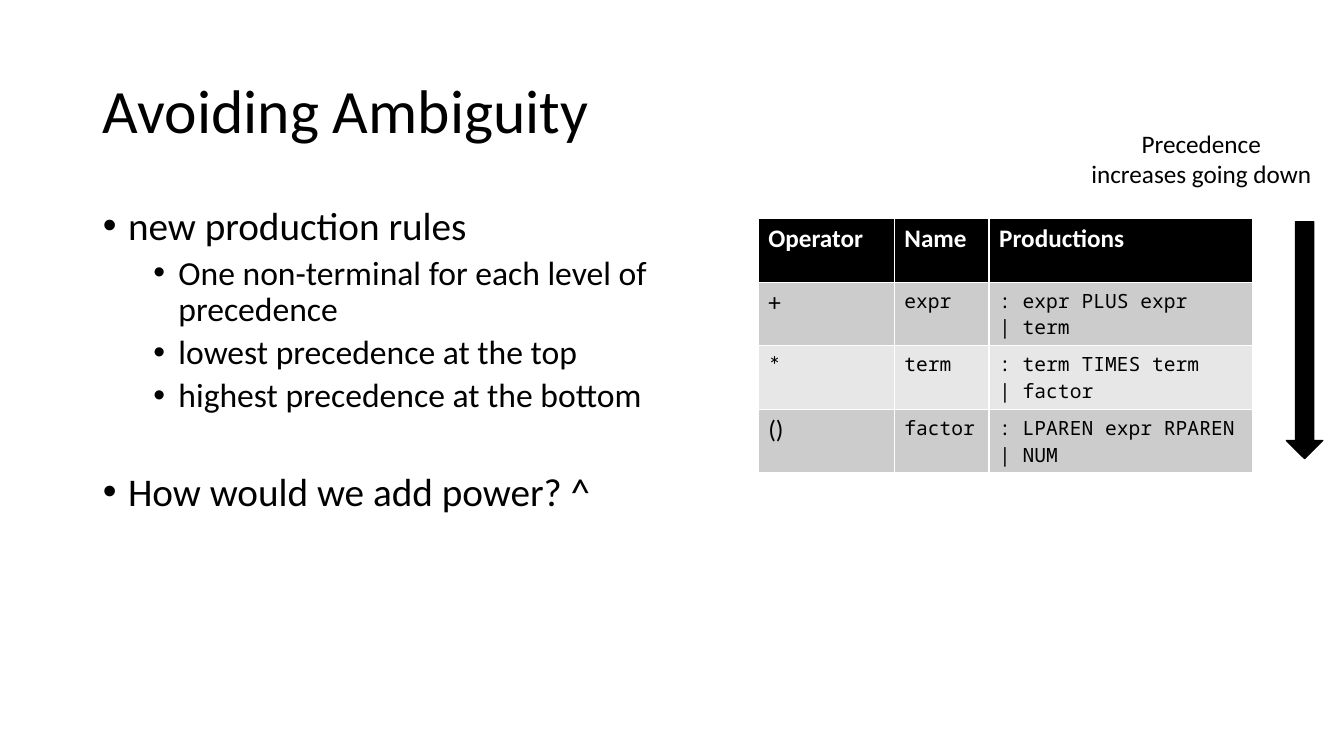
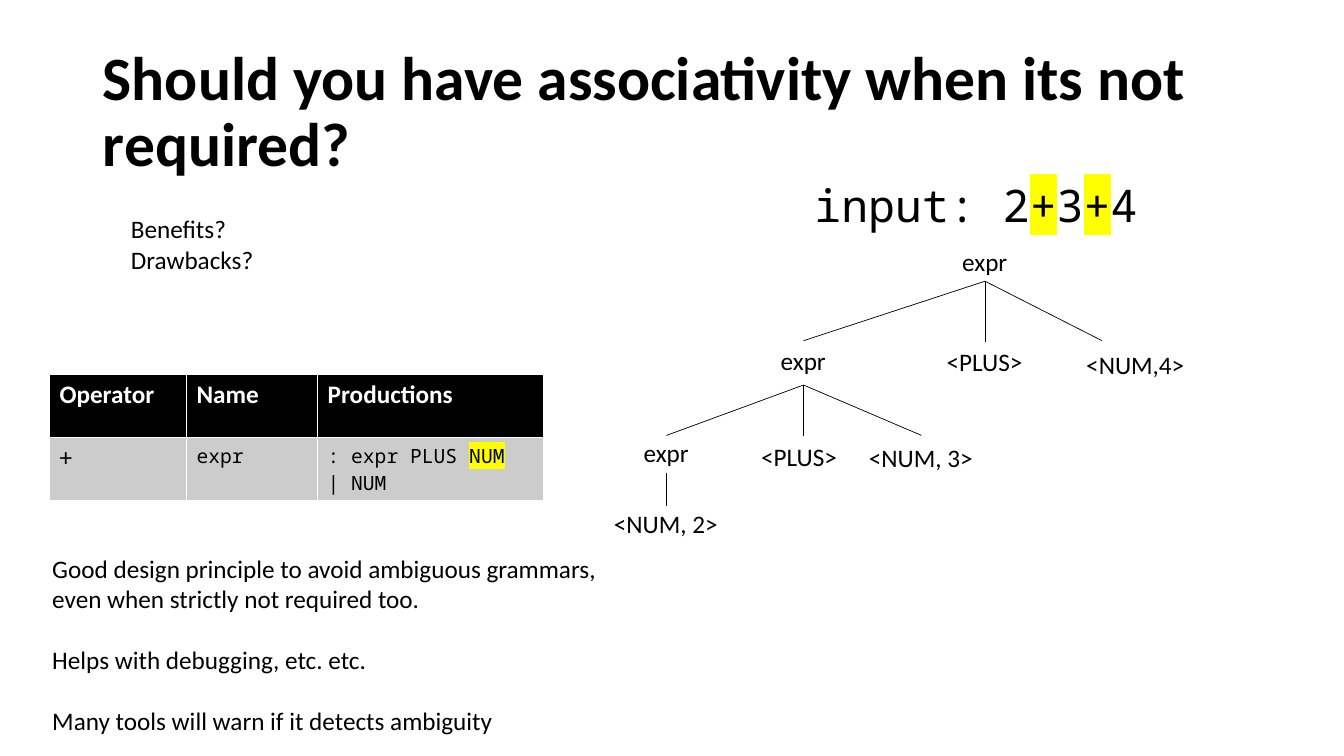
from copy import deepcopy
from dataclasses import dataclass

from lxml import etree
from pptx import Presentation
from pptx.dml.color import RGBColor as RGB
from pptx.enum.shapes import MSO_CONNECTOR as CONN, MSO_SHAPE as SHAPE
from pptx.enum.text import MSO_ANCHOR as ANCHOR, MSO_AUTO_SIZE as FIT, PP_ALIGN as ALIGN
from pptx.oxml.ns import qn
from pptx.util import Inches, Pt


@dataclass(frozen=True)
class Theme:
    ink: str = "000000"
    paper: str = "FFFFFF"
    bands: tuple = ("CCCCCC", "E7E7E7")
    mark: str = "FFFF00"
    sans: str = "Calibri"
    mono: str = "Noto Sans Mono"
    title: int = 44
    input: int = 32
    bullet: int = 28
    sub_bullet: int = 24
    text: int = 18
    code: int = 14


@dataclass(frozen=True)
class Node:
    """Parse tree node: x is its centre, y its top, inside the tree's box.

    tip shifts the end of the edge from the parent, foot is where
    the edges to the children start below y.
    """
    text: str
    width: float
    x: float
    y: float
    tip: tuple = (0, 0)
    foot: float = 0.4
    kids: tuple = ()


T = Theme()
TITLE_BOX = (0.92, 0.4, 11.5, 1.45)
LINE_GAP = 22
HEADERS = ("Operator", "Name", "Productions")

PRECEDENCE_ROWS = [
    ("+", "expr", ": expr PLUS expr\n| term"),
    ("*", "term", ": term TIMES term\n| factor"),
    ("()", "factor", ": LPAREN expr RPAREN\n| NUM"),
]
ASSOCIATIVE_ROWS = [("+", "expr", [": expr PLUS ", "NUM", "\n| NUM"])]

# text, level, points before
RULES = [
    ("new production rules", 0, 10),
    ("One non-terminal for each level of precedence", 1, 5),
    ("lowest precedence at the top", 1, 5),
    ("highest precedence at the bottom", 1, 5),
    ("How would we add power? ^", 0, 41),
]

PARSE_TREE = Node("expr", 0.65, 3.78, 0, kids=(
    Node("expr", 0.65, 1.98, 0.99, foot=0.44, kids=(
        Node("expr", 0.65, 0.62, 1.9, tip=(0, 0.03), kids=(
            Node("<NUM, 2>", 1.24, 0.62, 2.6, tip=(0, 0.03)),)),
        Node("<PLUS>", 0.96, 1.94, 1.94, tip=(0.04, 0)),
        Node("<NUM, 3>", 1.24, 3.15, 1.95, tip=(0, -0.02)))),
    Node("<PLUS>", 0.96, 3.78, 1),
    Node("<NUM,4>", 1.19, 5.28, 1.03, tip=(-0.34, -0.04))))


def inches(*values):
    return [Inches(v) for v in values]


def write(tf, text, size=T.text, font=T.sans, color=T.ink, bold=False,
          align=ALIGN.LEFT, before=0, spacing=None):
    """Add a paragraph; in a list of pieces every second one is highlighted."""
    p = tf.paragraphs[0]
    if p.runs:
        p = tf.add_paragraph()
    p.alignment, p.space_before = align, Pt(before)
    if spacing:
        p.line_spacing = spacing
    pieces = [text] if isinstance(text, str) else text
    r = None
    for i, piece in enumerate(pieces):
        for j, line in enumerate(piece.split("\n")):
            if j:
                p.add_line_break()
                p._p[-1].append(deepcopy(r._r.rPr))
            if not line:
                continue
            r = p.add_run()
            r.text = line
            f = r.font
            f.size, f.name, f.bold = Pt(size), font, bold
            f.color.rgb = RGB.from_string(color)
            if i % 2:
                highlight(r)
    return p


def highlight(r):
    hl = etree.Element(qn("a:highlight"))
    etree.SubElement(hl, qn("a:srgbClr"), val=T.mark)
    r._r.rPr.find(qn("a:solidFill")).addnext(hl)


def place(sp, box):
    sp.left, sp.top, sp.width, sp.height = inches(*box)


def new_slide(prs, layout, title, bold=False):
    s = prs.slides.add_slide(prs.slide_layouts.get_by_name(layout))
    place(s.shapes.title, TITLE_BOX)
    tf = s.shapes.title.text_frame
    tf.auto_size, tf.vertical_anchor = FIT.NONE, ANCHOR.MIDDLE
    write(tf, title, size=T.title, bold=bold, spacing=0.9)
    return s


def label(s, box, *lines, **fmt):
    """Text box without wrapping; a line may be a (text, points before) pair."""
    tf = s.shapes.add_textbox(*inches(*box)).text_frame
    tf.word_wrap, tf.auto_size = False, FIT.SHAPE_TO_FIT_TEXT
    for line in lines:
        text, before = line if isinstance(line, tuple) else (line, 0)
        write(tf, text, before=before, **fmt)


def bullet_list(s, box, items):
    sp = s.placeholders[1]
    place(sp, box)
    tf = sp.text_frame
    tf.auto_size = FIT.NONE
    for text, level, before in items:
        p = write(tf, text, size=T.sub_bullet if level else T.bullet,
                  before=before, spacing=0.9)
        p.level = level
        pPr = p._p.get_or_add_pPr()
        pPr.set("marL", str(Inches(0.25 + 0.5 * level)))
        pPr.set("indent", str(Inches(-0.25)))
        etree.SubElement(pPr, qn("a:buFont"), typeface="Arial")
        etree.SubElement(pPr, qn("a:buChar"), char="•")


def grammar_table(s, left, top, widths, rows, row_height=0.63):
    table = s.shapes.add_table(
        len(rows) + 1, len(HEADERS),
        *inches(left, top, sum(widths), row_height * (len(rows) + 1))).table
    for col, width in zip(table.columns, widths):
        col.width = Inches(width)
    for i, row in enumerate([HEADERS, *rows]):
        for j, text in enumerate(row):
            cell = table.cell(i, j)
            cell.fill.solid()
            cell.fill.fore_color.rgb = RGB.from_string(
                T.bands[(i - 1) % 2] if i else T.ink)
            if i == 0:
                fmt = dict(color=T.paper, bold=True)
            elif j:
                fmt = dict(size=T.code, font=T.mono)
            else:
                fmt = {}
            write(cell.text_frame, text, **fmt)


def down_arrow(s, box):
    sp = s.shapes.add_shape(SHAPE.DOWN_ARROW, *inches(*box))
    sp.shadow.inherit = False
    sp.fill.solid()
    sp.fill.fore_color.rgb = sp.line.color.rgb = RGB.from_string(T.ink)
    sp.line.width = Pt(1)


def edge(s, x1, y1, x2, y2):
    c = s.shapes.add_connector(CONN.STRAIGHT, *inches(x1, y1, x2, y2))
    c.line.color.rgb = RGB.from_string(T.ink)
    c.line.width = Pt(0.5)
    etree.SubElement(c._element.spPr, qn("a:effectLst"))


def parse_tree(s, left, top, node):
    x, y = left + node.x, top + node.y
    label(s, (x - node.width / 2, y, node.width, 0.4), node.text)
    for kid in node.kids:
        dx, dy = kid.tip
        edge(s, x, y + node.foot, left + kid.x + dx, top + kid.y + dy)
        parse_tree(s, left, top, kid)


def ambiguity_slide(prs):
    s = new_slide(prs, "Title and Content", "Avoiding Ambiguity")
    grammar_table(s, 7.52, 2.17, (1.35, 0.94, 2.61), PRECEDENCE_ROWS)
    down_arrow(s, (12.76, 2.2, 0.36, 2.35))
    label(s, (10.71, 1.22, 2.41, 0.71), "Precedence", "increases going down",
          align=ALIGN.CENTER)
    bullet_list(s, (0.92, 2, 6.39, 5.1), RULES)


def associativity_slide(prs):
    s = new_slide(prs, "Title Only",
                  "Should you have associativity when its not required?", bold=True)
    label(s, (7.98, 1.71, 3.44, 0.64), ["input: 2", "+", "3", "+", "4"],
          size=T.input, font=T.mono)
    parse_tree(s, 5.99, 2.39, PARSE_TREE)
    label(s, (1.2, 2.07, 1.43, 0.71), "Benefits?", "Drawbacks?")
    label(s, (0.42, 5.44, 5.66, 1.92),
          "Good design principle to avoid ambiguous grammars,",
          "even when strictly not required too.",
          ("Helps with debugging, etc. etc.", LINE_GAP),
          ("Many tools will warn if it detects ambiguity", LINE_GAP))
    grammar_table(s, 0.49, 3.71, (1.36, 1.3, 2.24), ASSOCIATIVE_ROWS)


def main():
    prs = Presentation()
    prs.slide_width, prs.slide_height = inches(13.33, 7.5)
    ambiguity_slide(prs)
    associativity_slide(prs)
    prs.save("out.pptx")


if __name__ == "__main__":
    main()
